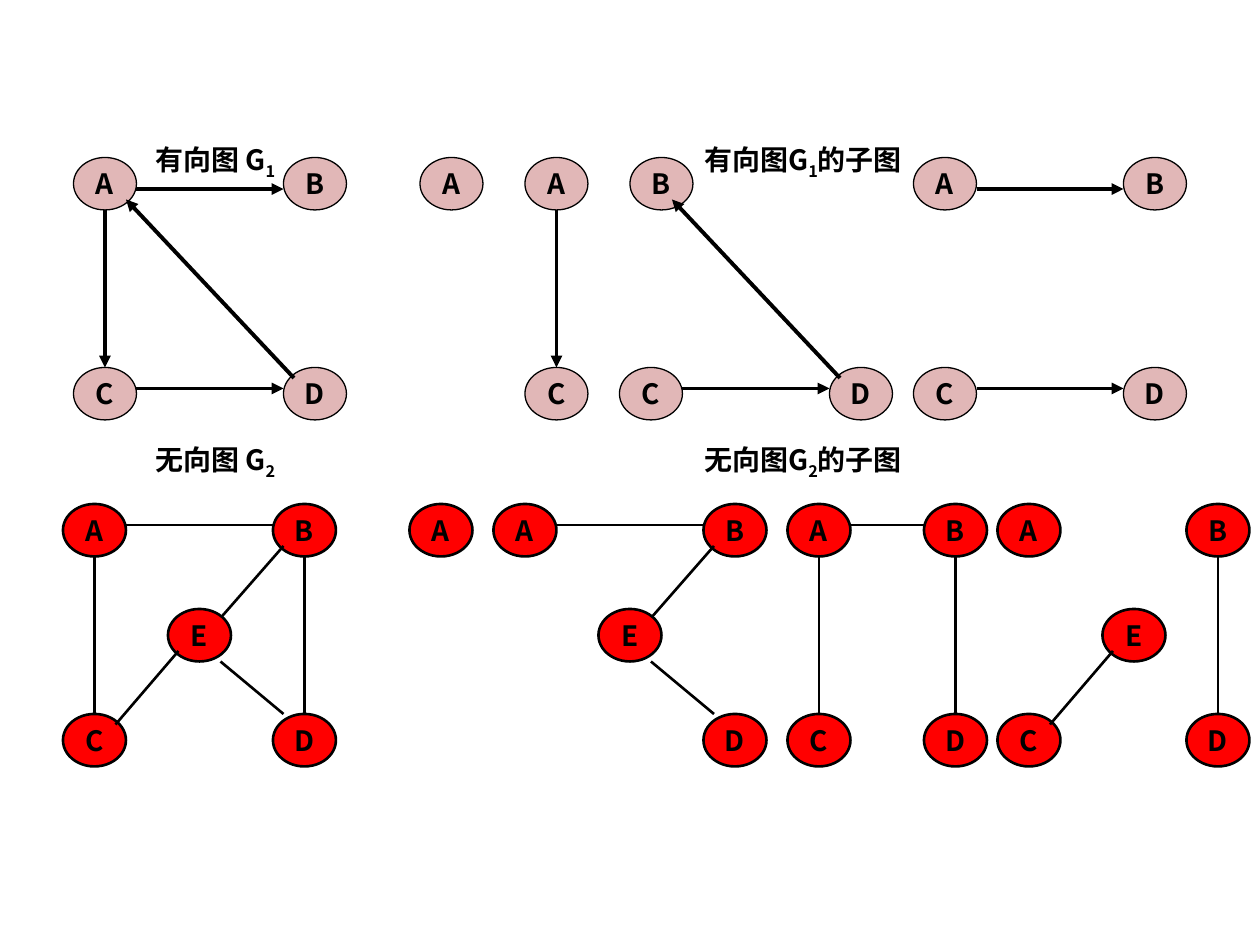
from dataclasses import dataclass

from lxml import etree
from pptx import Presentation, util as u
from pptx.dml.color import RGBColor
from pptx.enum import shapes, text
from pptx.oxml.ns import qn


@dataclass(frozen=True)
class Theme:
    font: str = "Noto Sans CJK SC"
    size: int = 16
    ink: str = "000000"
    directed: str = "E1B7B7"
    undirected: str = "FF0000"


T = Theme()
CELL = 1 / 12            # grid step in inches
NODE_W, NODE_H = 6, 5    # node size in cells

# Where each edge leaves its first node and meets its second, in cells.
DIRECTED_PORTS = {
    "AB": ((6, 3), (0, 3)), "CD": ((6, 2), (0, 2)), "AC": ((3, 5), (3, 0)),
    "DA": ((1, 1), (5, 4)), "DB": ((1, 1), (4, 4)),
}
UNDIRECTED_PORTS = {
    "AB": ((6, 2), (0, 2)), "AC": ((3, 5), (3, 0)), "BD": ((3, 5), (3, 0)),
    "EB": ((4, 2), (1, 4)), "CE": ((5, 1), (1, 4)), "DE": ((1, 0), (5, 5)),
}

# Each graph: column of every node, then nodes and edges from back to front.
FAMILIES = [
    dict(rows=dict(A=15, B=15, C=35, D=35), ports=DIRECTED_PORTS,
         fill=T.directed, outline=0.75, edge=2.25, arrow=True,
         graphs=[
             (dict(A=7, B=27, C=7, D=27), "A B C D AB CD AC DA"),
             (dict(A=40), "A"),
             (dict(A=50, C=50), "A C AC"),
             (dict(B=60, C=59, D=79), "B C D CD DB"),
             (dict(A=87, B=107, C=87, D=107), "A B C D AB CD"),
         ]),
    dict(rows=dict(A=48, B=48, E=58, C=68, D=68), ports=UNDIRECTED_PORTS,
         fill=T.undirected, outline=1.5, edge=1.5, arrow=False,
         graphs=[
             (dict(A=6, B=26, C=6, D=26, E=16), "A B C D AB EB AC BD E CE DE"),
             (dict(A=39), "A"),
             (dict(A=47, B=67, D=67, E=57), "A B D AB EB E DE"),
             (dict(A=75, B=88, C=75, D=88), "A B C D AB AC BD"),
             (dict(A=95, B=113, C=95, D=113, E=105), "A B C D BD E CE"),
         ]),
]

# Captions: column, row, width in cells; text before, subscript, text after.
CAPTIONS = [
    (12, 13, 17, "有向图 G", "1", ""),
    (59, 13, 35, "有向图G", "1", "的子图"),
    (12, 41.6, 17, "无向图 G", "2", ""),
    (59, 41.6, 35, "无向图G", "2", "的子图"),
]
CAPTION_H = 4.9


def cells(*values):
    return [u.Inches(v * CELL) for v in values]


def colour(value):
    return RGBColor.from_string(value)


def style_run(r):
    r.font.name, r.font.size, r.font.bold = T.font, u.Pt(T.size), True
    r.font.color.rgb = colour(T.ink)
    etree.SubElement(r.font._element, qn("a:ea"), typeface=T.font)


def add_node(s, name, at, family):
    sp = s.shapes.add_shape(shapes.MSO_SHAPE.OVAL, *cells(*at, NODE_W, NODE_H))
    sp.shadow.inherit = False
    sp.fill.solid()
    sp.fill.fore_color.rgb = colour(family["fill"])
    sp.line.color.rgb = colour(T.ink)
    sp.line.width = u.Pt(family["outline"])
    tf = sp.text_frame
    tf.text = name
    tf.word_wrap = False
    tf.vertical_anchor = text.MSO_ANCHOR.MIDDLE
    p = tf.paragraphs[0]
    p.alignment = text.PP_ALIGN.CENTER
    style_run(p.runs[0])


def add_edge(s, start, end, family):
    line = s.shapes.add_connector(shapes.MSO_CONNECTOR.STRAIGHT,
                                  *cells(*start, *end))
    line.line.color.rgb = colour(T.ink)
    line.line.width = u.Pt(family["edge"])
    if family["arrow"]:
        etree.SubElement(line.line._get_or_add_ln(), qn("a:tailEnd"),
                         type="triangle")
    etree.SubElement(line._element.spPr, qn("a:effectLst"))


def add_graph(s, columns, order, family):
    spots = {name: (x, family["rows"][name]) for name, x in columns.items()}
    for part in order.split():
        if part in spots:
            add_node(s, part, spots[part], family)
        else:
            start, end = [
                (spots[name][0] + dx, spots[name][1] + dy)
                for name, (dx, dy) in zip(part, family["ports"][part])
            ]
            add_edge(s, start, end, family)


def add_caption(s, x, y, width, before, index, after):
    tf = s.shapes.add_textbox(*cells(x, y, width, CAPTION_H)).text_frame
    tf.word_wrap = True
    p = tf.paragraphs[0]
    p.alignment = text.PP_ALIGN.CENTER
    for words in filter(None, (before, index, after)):
        r = p.add_run()
        r.text = words
        style_run(r)
        if words == index:
            r.font._element.set("baseline", "-25000")


def main():
    prs = Presentation()
    prs.slide_width, prs.slide_height = u.Inches(10), u.Inches(7.5)
    s = prs.slides.add_slide(prs.slide_layouts[6])
    for family in FAMILIES:
        for columns, order in family["graphs"]:
            add_graph(s, columns, order, family)
    for caption in CAPTIONS:
        add_caption(s, *caption)
    prs.save("out.pptx")


if __name__ == "__main__":
    main()
